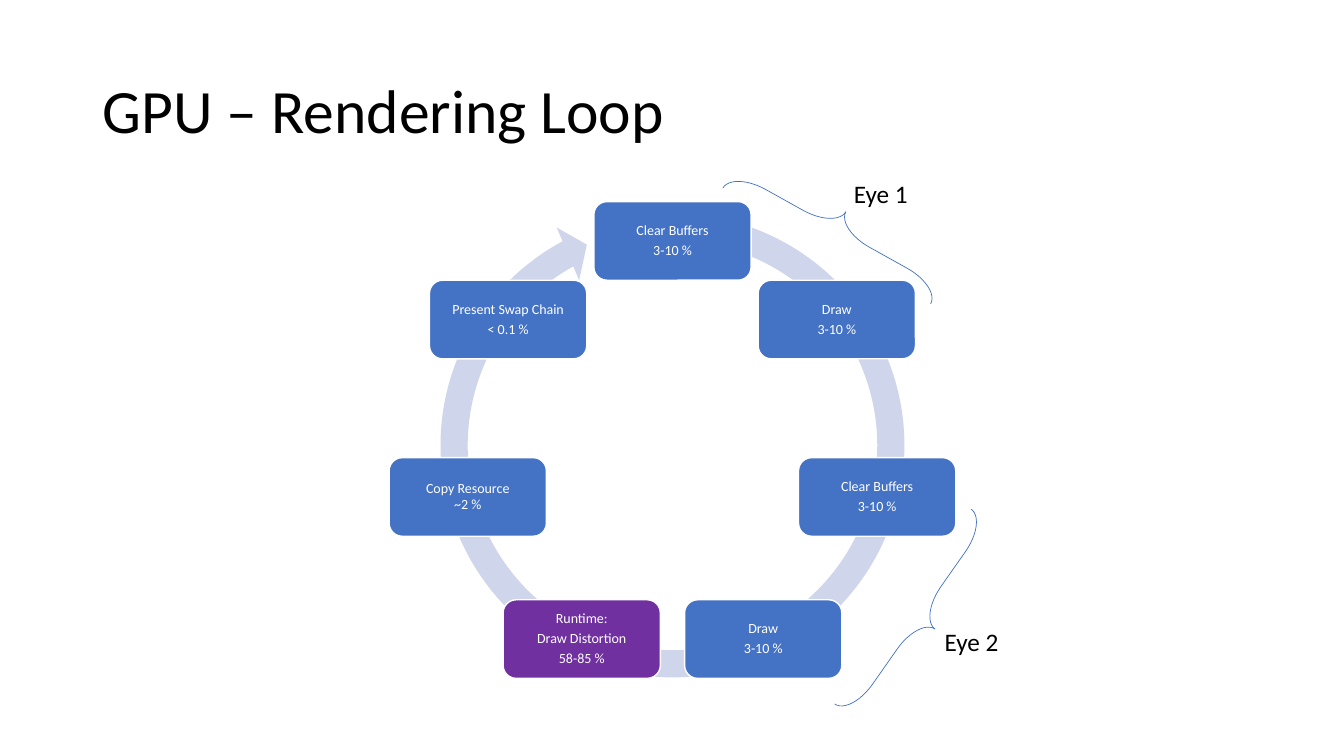
import math

from pptx import Presentation
from pptx import util as u
from pptx.dml.color import RGBColor
from pptx.enum import shapes, text

PX = 9144  # EMU per px, at 100 px to the inch
BLUE = RGBColor(0x44, 0x72, 0xC4)
PURPLE = RGBColor(0x70, 0x30, 0xA0)
PALE = RGBColor(0xCF, 0xD5, 0xEA)
WHITE = RGBColor(0xFF, 0xFF, 0xFF)
BLACK = RGBColor(0, 0, 0)

CENTRE_X, CENTRE_Y, RADIUS = 667, 447, 208
BOX_W, BOX_H = 156, 78
STEPS = [
    (["Clear Buffers", "3-10 %"], BLUE),
    (["Draw", "3-10 %"], BLUE),
    (["Clear Buffers", "3-10 %"], BLUE),
    (["Draw", "3-10 %"], BLUE),
    (["Runtime:", "Draw Distortion", "58-85 %"], PURPLE),
    (["Copy Resource\n~2 %"], BLUE),
    (["Present Swap Chain", "< 0.1 %"], BLUE),
]
EYES = [  # label, its place, brace place, brace rotation
    ("Eye 1", (837, 172, 82, 40), (810, 109, 39, 236), 299.1),
    ("Eye 2", (927, 616, 82, 40), (892, 495, 39, 236), 35),
]


def apply(target, values):
    """Set each attribute named in values on target."""
    for name, value in values.items():
        setattr(target, name, value)


class LoopSlide:
    font = "Calibri"

    def __init__(self, prs):
        self.slide = prs.slides.add_slide(prs.slide_layouts[5])

    def set_text(self, sp, lines, size, color, frame, para):
        """Fill sp with one paragraph per line."""
        tf = sp.text_frame
        apply(tf, {"word_wrap": True, **frame})
        for i, line in enumerate(lines):
            p = tf.add_paragraph() if i else tf.paragraphs[0]
            p.text = line
            apply(p, para)
            for r in p.runs:
                apply(r.font, {"name": self.font, "size": u.Pt(size)})
                r.font.color.rgb = color

    def title(self, line, box):
        sp = self.slide.shapes.title
        apply(sp, dict(zip(("left", "top", "width", "height"),
                           (v * PX for v in box))))
        self.set_text(sp, [line], 44, BLACK,
                      {"vertical_anchor": text.MSO_ANCHOR.MIDDLE,
                       "auto_size": text.MSO_AUTO_SIZE.NONE},
                      {"alignment": text.PP_ALIGN.LEFT, "line_spacing": 0.9})

    def shape(self, kind, box, fill=None, line=None, width=1, adjust=(), turn=0):
        sp = self.slide.shapes.add_shape(kind, *(v * PX for v in box))
        sp.shadow.inherit = False
        sp.rotation = turn
        for i, value in enumerate(adjust):
            sp.adjustments[i] = value
        if fill is None:
            sp.fill.background()
        else:
            sp.fill.solid()
            sp.fill.fore_color.rgb = fill
        if line is None:
            sp.line.fill.background()
        else:
            sp.line.color.rgb = line
            sp.line.width = u.Pt(width)
        return sp

    def step(self, lines, box, fill):
        sp = self.shape(shapes.MSO_SHAPE.ROUNDED_RECTANGLE, box, fill, WHITE)
        margins = dict.fromkeys(
            ("margin_left", "margin_right", "margin_top", "margin_bottom"), 4 * PX)
        self.set_text(sp, lines, 10, WHITE,
                      {"vertical_anchor": text.MSO_ANCHOR.MIDDLE, **margins},
                      {"alignment": text.PP_ALIGN.CENTER, "line_spacing": 0.9,
                       "space_after": u.Pt(3.5)})

    def label(self, line, box):
        sp = self.slide.shapes.add_textbox(*(v * PX for v in box))
        self.set_text(sp, [line], 18, BLACK,
                      {"auto_size": text.MSO_AUTO_SIZE.SHAPE_TO_FIT_TEXT}, {})


def main():
    prs = Presentation()
    apply(prs, {"slide_width": 1333 * PX, "slide_height": 750 * PX})
    s = LoopSlide(prs)
    s.title("GPU – Rendering Loop", (92, 40, 1150, 145))
    s.shape(shapes.MSO_SHAPE.CIRCULAR_ARROW, (422, 197, 490, 490), PALE,
            adjust=(0.055, 3.307, 144.837, 169.686, 0.058))
    for i, (lines, fill) in enumerate(STEPS):
        angle = math.tau * i / len(STEPS)
        x = round(CENTRE_X + RADIUS * math.sin(angle) - BOX_W / 2)
        y = round(CENTRE_Y - RADIUS * math.cos(angle) - BOX_H / 2)
        s.step(lines, (x, y, BOX_W, BOX_H), fill)
    for name, place, brace, turn in EYES:
        s.shape(shapes.MSO_SHAPE.RIGHT_BRACE, brace, line=BLUE, width=0.5,
                adjust=(0.967, 0.5), turn=turn)
        s.label(name, place)
    prs.save("out.pptx")


if __name__ == "__main__":
    main()
